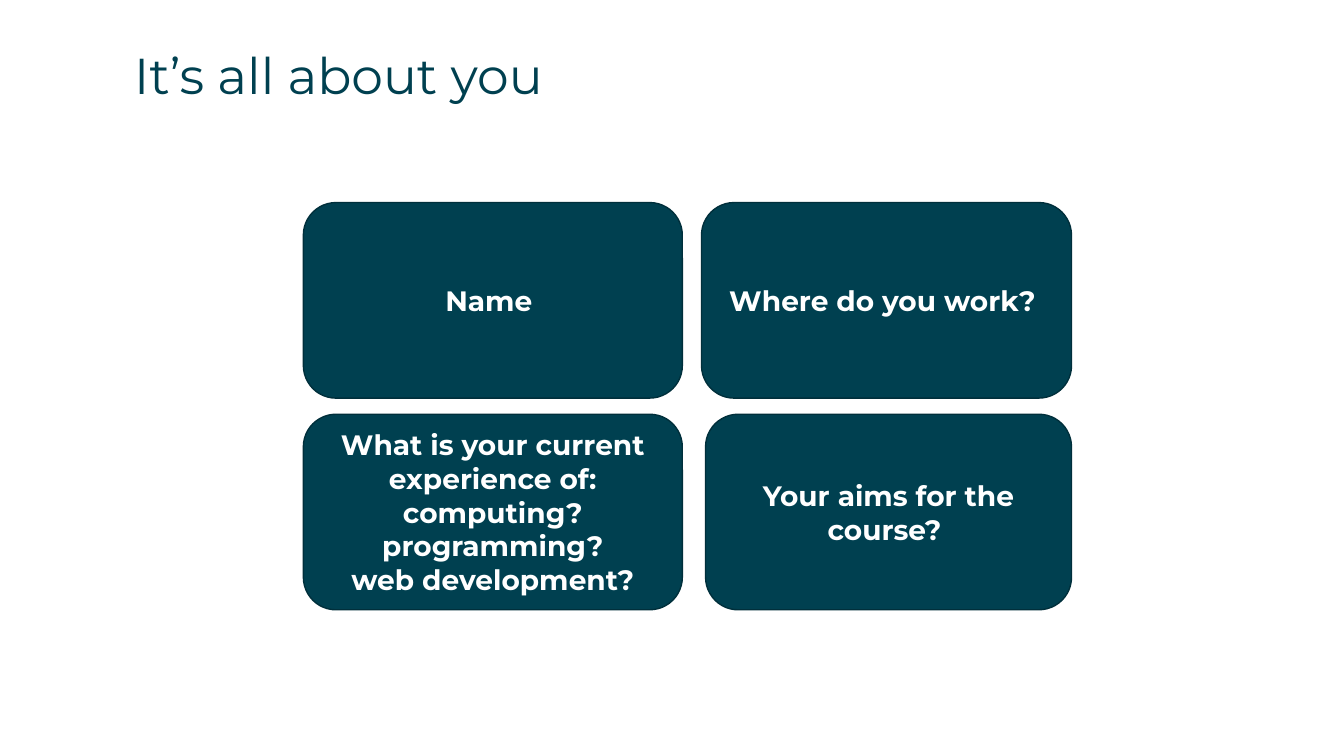
from dataclasses import dataclass

import pptx
import pptx.dml.color
import pptx.enum.shapes
import pptx.enum.text
import pptx.slide
import pptx.text.text
import pptx.util

Pt = pptx.util.Pt
TEAL, DARK_TEAL, WHITE = "004050", "002F3B", "FFFFFF"
RIGHT_EDGE = 765.4
LEFT_COLUMN = 216.7
TOP_ROW, BOTTOM_ROW = 144.7, 295.9
CARD_HEIGHT = 139.7
TITLE_FORMAT = {"name": "Montserrat", "size": Pt(36)}
QUESTION_FORMAT = {"name": "Montserrat", "size": Pt(20), "bold": True}


@dataclass
class Card:
    left: float
    top: float
    right: float
    lines: list[str]


CARDS = [
    Card(LEFT_COLUMN, TOP_ROW, 487.4, ["Name "]),
    Card(501.1, TOP_ROW, RIGHT_EDGE, ["Where do you work? "]),
    Card(LEFT_COLUMN, BOTTOM_ROW, 487.4,
         ["What is your current experience of:", "computing?",
          "programming?", "web development?"]),
    Card(504, BOTTOM_ROW, RIGHT_EDGE, ["Your aims for the course? "]),
]


def color(hex_code: str) -> pptx.dml.color.RGBColor:
    return pptx.dml.color.RGBColor.from_string(hex_code)


def write(paragraph: pptx.text.text._Paragraph, text: str, ink: str,
          font_format: dict) -> None:
    run = paragraph.add_run()
    run.text = text
    for attribute, value in font_format.items():
        setattr(run.font, attribute, value)
    run.font.color.rgb = color(ink)


def add_title(slide: pptx.slide.Slide, text: str) -> None:
    title = slide.shapes.add_textbox(Pt(95.8), Pt(29.5), Pt(834.5), Pt(41))
    frame = title.text_frame
    frame.word_wrap = True
    for side in ("left", "top", "right", "bottom"):
        setattr(frame, f"margin_{side}", 0)
    paragraph = frame.paragraphs[0]
    paragraph.line_spacing = 1.05
    write(paragraph, text, TEAL, TITLE_FORMAT)


def add_card(slide: pptx.slide.Slide, card: Card) -> None:
    box = slide.shapes.add_shape(
        pptx.enum.shapes.MSO_SHAPE.ROUNDED_RECTANGLE,
        Pt(card.left), Pt(card.top), Pt(card.right - card.left), Pt(CARD_HEIGHT))
    box.shadow.inherit = False
    box.fill.solid()
    box.fill.fore_color.rgb = color(TEAL)
    box.line.color.rgb = color(DARK_TEAL)
    box.line.width = Pt(1)
    frame = box.text_frame
    frame.word_wrap = True
    frame.vertical_anchor = pptx.enum.text.MSO_ANCHOR.MIDDLE
    for index, line in enumerate(card.lines):
        paragraph = frame.add_paragraph() if index else frame.paragraphs[0]
        paragraph.alignment = pptx.enum.text.PP_ALIGN.CENTER
        write(paragraph, line, WHITE, QUESTION_FORMAT)


def main() -> None:
    deck = pptx.Presentation()
    deck.slide_width, deck.slide_height = Pt(960), Pt(540)
    slide = deck.slides.add_slide(deck.slide_layouts[6])
    add_title(slide, "It’s all about you")
    for card in CARDS:
        add_card(slide, card)
    deck.save("out.pptx")


if __name__ == "__main__":
    main()
